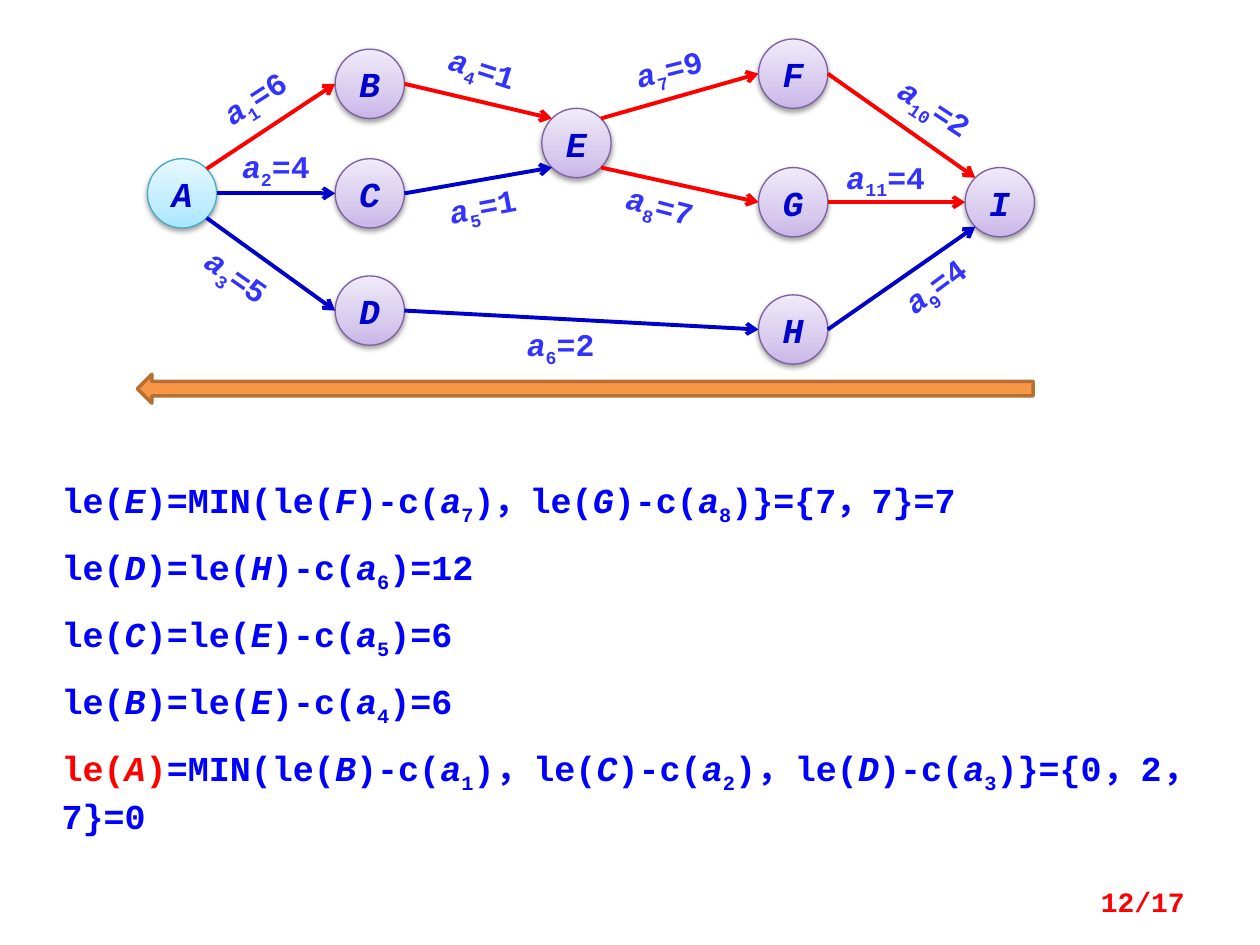
from copy import deepcopy
from math import sqrt

from lxml import etree
from pptx import Presentation
from pptx.dml.color import RGBColor
from pptx.enum.shapes import MSO_CONNECTOR, MSO_SHAPE
from pptx.enum.text import MSO_ANCHOR, MSO_AUTO_SIZE, PP_ALIGN
from pptx.oxml.ns import qn
from pptx.util import Inches, Pt

OVAL, LEFT_ARROW = MSO_SHAPE.OVAL, MSO_SHAPE.LEFT_ARROW
STRAIGHT = MSO_CONNECTOR.STRAIGHT
TOP, MIDDLE = MSO_ANCHOR.TOP, MSO_ANCHOR.MIDDLE
CENTER, RIGHT, JUSTIFY = PP_ALIGN.CENTER, PP_ALIGN.RIGHT, PP_ALIGN.JUSTIFY
GROW = MSO_AUTO_SIZE.SHAPE_TO_FIT_TEXT

FONT = "Courier New"
RED, NAVY, BLUE, LABEL_BLUE = "FF0000", "0000CC", "0000FF", "3333FF"
PURPLE_STOPS = ("C9B5E8", "D8CBEE", "F0EAF9")
CYAN_STOPS = ("A7E6FF", "C1EDFF", "E7F8FF")

NODE_SIZE = 0.55
LABEL_WIDTH, LABEL_HEIGHT = 0.94, 0.31
HUBS = "AEI"  # vertices whose sloping edges meet the circle at a corner

# Vertex: left and top within the graph box
NODES = {
    "A": (0, 0.95), "B": (1.49, 0.08), "C": (1.49, 0.95),
    "D": (1.49, 1.88), "E": (3.13, 0.55), "F": (4.85, 0),
    "G": (4.85, 1.02), "H": (4.85, 2.03), "I": (6.49, 1.02),
}
# Edge, activity number, duration, colour, label left, top and rotation
EDGES = [
    ("AB", 1, 6, RED, 0.38, 0.31, 327.3),
    ("AC", 2, 4, NAVY, 0.55, 0.86, 0),
    ("AD", 3, 5, NAVY, 0.24, 1.73, 35.2),
    ("BE", 4, 1, RED, 2.19, 0.08, 17.8),
    ("CE", 5, 1, NAVY, 2.19, 1.17, 349.2),
    ("DH", 6, 2, NAVY, 2.81, 2.27, 0),
    ("EF", 7, 9, RED, 3.67, 0.08, 346),
    ("EG", 8, 7, RED, 3.6, 1.17, 14.7),
    ("HI", 9, 4, NAVY, 5.78, 1.8, 323.4),
    ("FI", 10, 2, RED, 5.78, 0.39, 33.4),
    ("GI", 11, 4, RED, 5.39, 0.94, 0),
]


def rgb(value):
    return RGBColor.from_string(value)


def inches(*values):
    return [Inches(value) for value in values]


def write_text(para, markup, size=20, color=BLUE, align=None, bold=True):
    """Add runs split at "|": a leading "/" is italic, "_" is subscript."""
    if align is not None:
        para.alignment = align
    for piece in markup.split("|"):
        span = para.add_run()
        span.text = piece.lstrip("/_")
        font = span.font
        font.name, font.size, font.bold = FONT, Pt(size), bold
        font.italic = piece.startswith("/")
        font.color.rgb = rgb(color)
        if piece.startswith("_"):
            span._r.get_or_add_rPr().set("baseline", "-25000")


def add_text_box(page, box, anchor=TOP, inset=None):
    shape = page.shapes.add_textbox(*inches(*box))
    frame = shape.text_frame
    frame.word_wrap = True
    frame.vertical_anchor = anchor
    if inset is not None:
        frame.margin_left = frame.margin_right = Inches(inset)
        frame.margin_top = frame.margin_bottom = Inches(inset)
    return shape


def add_node(page, name, left, top):
    shape = page.shapes.add_shape(OVAL, *inches(left, top, NODE_SIZE, NODE_SIZE))
    # Three-stop gradient, darkest at the bottom
    shape.fill.gradient()
    shape.fill.gradient_angle = 90
    stops = shape._element.spPr.find(".//" + qn("a:gsLst"))
    stops.insert(1, deepcopy(stops[0]))
    colors = CYAN_STOPS if name == "A" else PURPLE_STOPS
    for stop, color, position in zip(shape.fill.gradient_stops, colors, (0, 0.35, 1)):
        stop.color.rgb = rgb(color)
        stop.position = position
    shape.line.color.rgb = rgb("46AAC5" if name == "A" else "7D60A0")
    shape.line.width = Pt(0.75)
    # Soft shadow straight below
    shape.shadow.inherit = False
    effects = shape._element.spPr.find(qn("a:effectLst"))
    shadow = etree.SubElement(effects, qn("a:outerShdw"), blurRad=str(Pt(3.1)),
                              dist=str(Pt(1.6)), dir="5400000", rotWithShape="0")
    black = etree.SubElement(shadow, qn("a:srgbClr"), val="000000")
    etree.SubElement(black, qn("a:alpha"), val="38000")
    shape.text_frame.vertical_anchor = MIDDLE
    write_text(shape.text_frame.paragraphs[0], "/" + name, color=NAVY, align=CENTER)


def edge_point(name, other, side):
    """Offset where an edge meets a vertex; side is 1 for right, -1 for left."""
    (left, top), radius = NODES[name], NODE_SIZE / 2
    rise = NODES[other][1] - top
    x, y = left + radius, top + radius
    if name in HUBS and rise:
        reach = radius / sqrt(2)
        return x + side * reach, y + (reach if rise > 0 else -reach)
    return x + side * radius, y


def add_arrow(page, start, end, color):
    arrow = page.shapes.add_connector(STRAIGHT, *inches(*start, *end))
    arrow.line.color.rgb = rgb(color)
    arrow.line.width = Pt(2.25)
    etree.SubElement(arrow.line._get_or_add_ln(), qn("a:tailEnd"), type="arrow")
    etree.SubElement(arrow._element.spPr, qn("a:effectLst"))


def add_graph(page, box):
    left, top = box[:2]
    for name, (x, y) in NODES.items():
        add_node(page, name, left + x, top + y)
    for (source, target), number, weight, color, x, y, rotation in EDGES:
        ends = [(left + dx, top + dy) for dx, dy in
                (edge_point(source, target, 1), edge_point(target, source, -1))]
        add_arrow(page, *ends, color)
        label = add_text_box(
            page, (left + x, top + y, LABEL_WIDTH, LABEL_HEIGHT), inset=0)
        label.text_frame.auto_size = GROW
        label.rotation = rotation
        write_text(label.text_frame.paragraphs[0], f"/a|_{number}|={weight}",
                   size=18, color=LABEL_BLUE, align=CENTER)


def add_direction_arrow(page, box):
    shape = page.shapes.add_shape(LEFT_ARROW, *inches(*box))
    shape.shadow.inherit = False
    shape.fill.solid()
    shape.fill.fore_color.rgb = rgb("F79646")
    shape.line.color.rgb = rgb("B76F34")
    shape.line.width = Pt(2)


def latest(name):
    return f"le(|/{name}|)"


def difference(name, number):
    return f"{latest(name)}-c(|/a|_{number}|)"


def add_formulas(page, box):
    formulas = [
        ("E", f"=MIN({difference('F', 7)}，{difference('G', 8)}}}={{7，7}}=7"),
        ("D", f"={difference('H', 6)}=12"),
        ("C", f"={difference('E', 5)}=6"),
        ("B", f"={difference('E', 4)}=6"),
        ("A", f"=MIN({difference('B', 1)}，{difference('C', 2)}，"
              f"{difference('D', 3)}}}={{0，2，7}}=0"),
    ]
    frame = add_text_box(page, box).text_frame
    frame.auto_size = GROW
    for index, (name, value) in enumerate(formulas):
        para = frame.add_paragraph() if index else frame.paragraphs[0]
        para.space_before = Pt(11 if index else 0)
        write_text(para, latest(name), color=RED if name == "A" else BLUE, align=JUSTIFY)
        write_text(para, value)


def add_page_number(page, box):
    frame = add_text_box(page, box, anchor=MIDDLE).text_frame
    write_text(frame.paragraphs[0], "12/17", size=16, color=RED, align=RIGHT)


def main():
    deck = Presentation()
    deck.slide_width, deck.slide_height = inches(10, 7.5)
    page = deck.slides.add_slide(deck.slide_layouts[6])
    add_formulas(page, (0.39, 3.75, 9.22, 2.46))
    add_graph(page, (1.17, 0.31, 7.04, 2.58))
    add_direction_arrow(page, (1.09, 2.97, 7.11, 0.23))
    add_page_number(page, (7.17, 6.95, 2.33, 0.4))
    deck.save("out.pptx")


if __name__ == "__main__":
    main()
